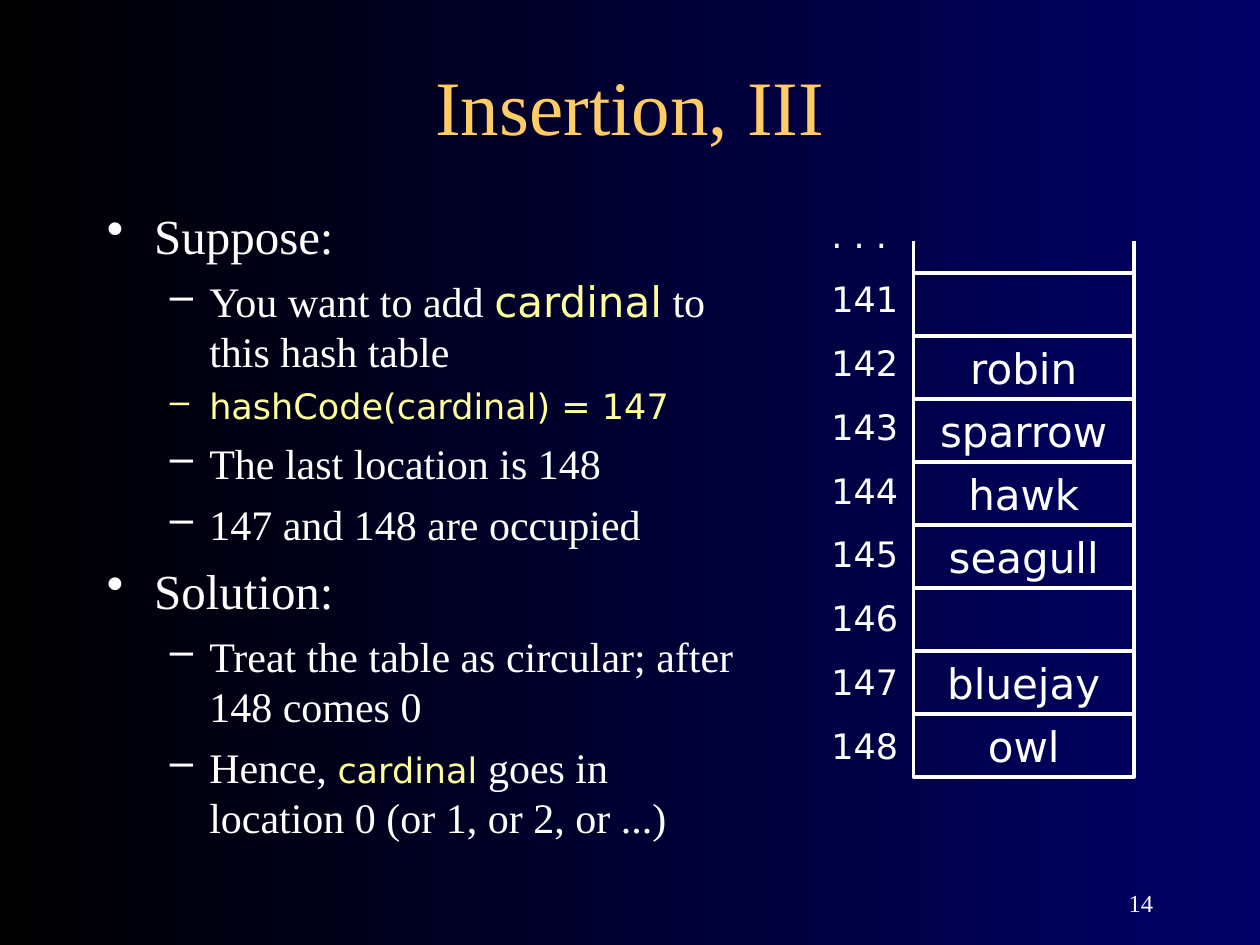
from dataclasses import dataclass
from lxml import etree
from pptx import Presentation
from pptx.dml.color import RGBColor
from pptx.enum.shapes import MSO_CONNECTOR as Link, MSO_SHAPE as Preset
from pptx.enum.text import MSO_ANCHOR as Anchor, PP_ALIGN as Align
from pptx.oxml.ns import qn
from pptx.util import Pt

SCALE = 9525
BULLETS = (("•", 36, -36), ("–", 78, -30))


def px(length):
    return length * SCALE


def rgb(value):
    return RGBColor.from_string(value)


def add_bullet(para, level, color):
    char, margin, indent = BULLETS[level]
    props = para._p.get_or_add_pPr()
    props.set("marL", str(px(margin)))
    props.set("indent", str(px(indent)))
    tint = etree.SubElement(props, qn("a:buClr"))
    etree.SubElement(tint, qn("a:srgbClr")).set("val", color)
    etree.SubElement(props, qn("a:buChar")).set("char", char)
    para.level = level


def write(para, text, *, size, font, color):
    span = para.add_run()
    span.text = text
    span.font.size = Pt(size)
    span.font.name = font
    span.font.color.rgb = rgb(color)


@dataclass
class SlideBuilder:
    slide: object
    serif: str = "Times New Roman"
    sans: str = "DejaVu Sans"
    white: str = "FFFFFF"
    gold: str = "FFCC66"
    yellow: str = "FFFF99"
    stroke: float = 2.25

    def background(self, start, end):
        fill = self.slide.background.fill
        fill.gradient()
        fill.gradient_angle = 180
        for stop, color in zip(fill.gradient_stops, (start, end)):
            stop.color.rgb = rgb(color)

    def frame(self, left, top, width, height, anchor=Anchor.TOP):
        box = self.slide.shapes.add_textbox(px(left), px(top), px(width), px(height))
        box.text_frame.word_wrap = True
        box.text_frame.vertical_anchor = anchor
        return box.text_frame

    def label(self, text, left, top, width, height, *, size, color, align, anchor):
        para = self.frame(left, top, width, height, anchor).paragraphs[0]
        para.alignment = align
        write(para, text, size=size, font=self.serif, color=color)

    def outline(self, items, left, top, width, height):
        frame = self.frame(left, top, width, height)
        for index, (level, spans) in enumerate(items):
            para = frame.add_paragraph() if index else frame.paragraphs[0]
            _, size, is_code = spans[0]
            add_bullet(para, level, self.yellow if is_code else self.white)
            if index:
                para.space_before = Pt(size / 4)
            for text, size, is_code in spans:
                write(para, text, size=size,
                      font=self.sans if is_code else self.serif,
                      color=self.yellow if is_code else self.white)

    def column(self, lines, left, top, width, height):
        frame = self.frame(left, top, width, height)
        for index, text in enumerate(lines):
            para = frame.add_paragraph() if index else frame.paragraphs[0]
            if index:
                para.space_before = Pt(12.5)
            write(para, text, size=20, font=self.sans, color=self.white)

    def cell(self, text, left, top, width, height):
        box = self.slide.shapes.add_shape(
            Preset.FLOWCHART_PROCESS, px(left), px(top), px(width), px(height))
        box.shadow.inherit = False
        box.fill.background()
        box.line.color.rgb = rgb(self.white)
        box.line.width = Pt(self.stroke)
        if text:
            frame = box.text_frame
            frame.word_wrap = False
            frame.vertical_anchor = Anchor.MIDDLE
            frame.paragraphs[0].alignment = Align.CENTER
            write(frame.paragraphs[0], text, size=24, font=self.sans, color=self.white)

    def line(self, x1, y1, x2, y2):
        rule = self.slide.shapes.add_connector(
            Link.STRAIGHT, px(x1), px(y1), px(x2), px(y2))
        rule.line.color.rgb = rgb(self.white)
        rule.line.width = Pt(self.stroke)
        etree.SubElement(rule._element.spPr, qn("a:effectLst"))


def plain(text, size=24):
    return text, size, False


def code(text, size=20):
    return text, size, True


OUTLINE = [
    (0, [plain("Suppose:", 28)]),
    (1, [plain("You want to add "), code("cardinal", 24), plain(" to this hash table")]),
    (1, [code("hashCode(cardinal) = 147")]),
    (1, [plain("The last location is 148")]),
    (1, [plain("147 and 148 are occupied")]),
    (0, [plain("Solution:", 28)]),
    (1, [plain("Treat the table as circular; after 148 comes 0")]),
    (1, [plain("Hence, "), code("cardinal"),
         plain(" goes in location 0 (or 1, or 2, or ...)")]),
]
FIRST_INDEX = 141
BIRDS = ["", "robin", "sparrow", "hawk", "seagull", "", "bluejay", "owl"]


def main():
    deck = Presentation()
    deck.slide_width, deck.slide_height = px(960), px(720)
    page = SlideBuilder(deck.slides.add_slide(deck.slide_layouts[6]))
    page.background("000066", "000000")
    page.label("Insertion, III", 72, 40, 816, 80, size=44, color=page.gold,
               align=Align.CENTER, anchor=Anchor.MIDDLE)
    page.outline(OUTLINE, 72, 152, 504, 520)

    left, top, width, height = 696, 208, 168, 48
    for row, bird in enumerate(BIRDS):
        page.cell(bird, left, top + row * height, width, height)
    indices = [str(FIRST_INDEX + row) for row in range(len(BIRDS))]
    page.column([". . ."] + indices, 624, 158, 72, 480)
    bottom = top + len(BIRDS) * height
    for side in (left, left + width):
        page.line(side, bottom, side, top - height // 2)

    page.label("14", 688, 656, 200, 48, size=14, color=page.white,
               align=Align.RIGHT, anchor=Anchor.BOTTOM)
    deck.save("out.pptx")


if __name__ == "__main__":
    main()
